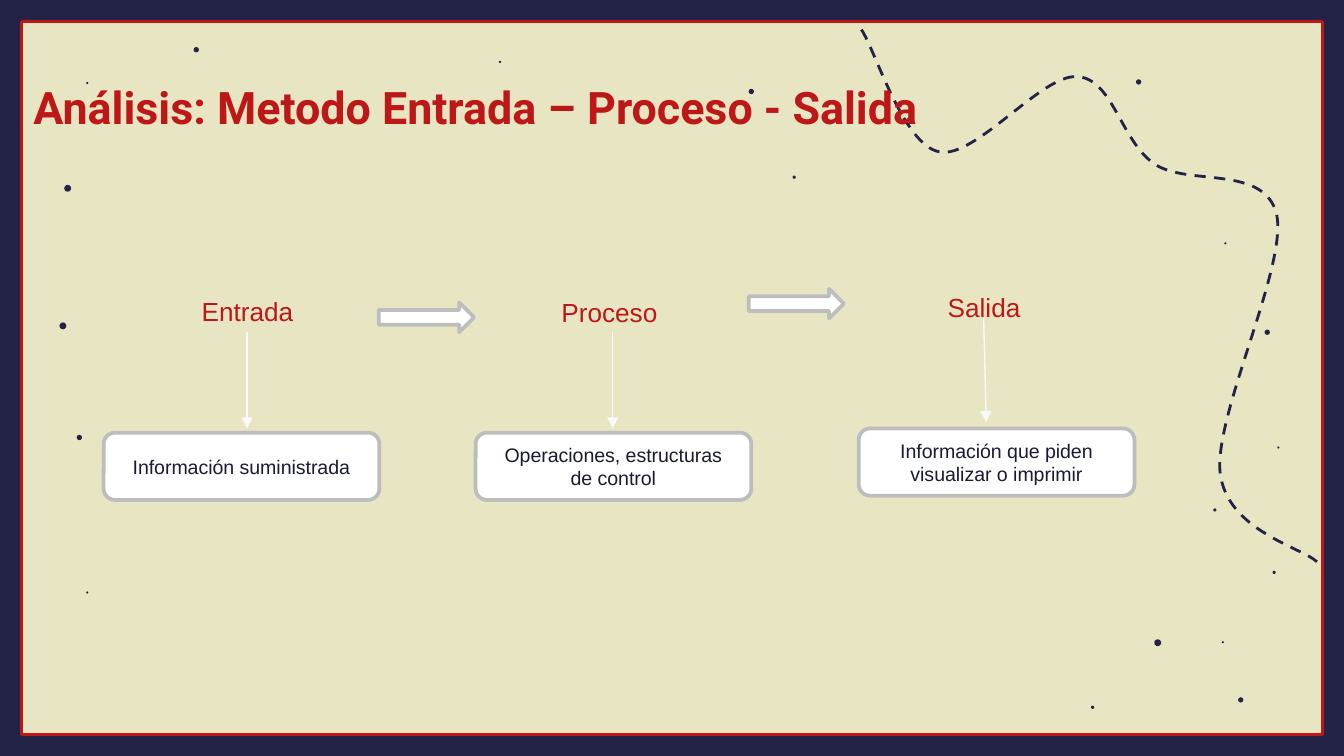
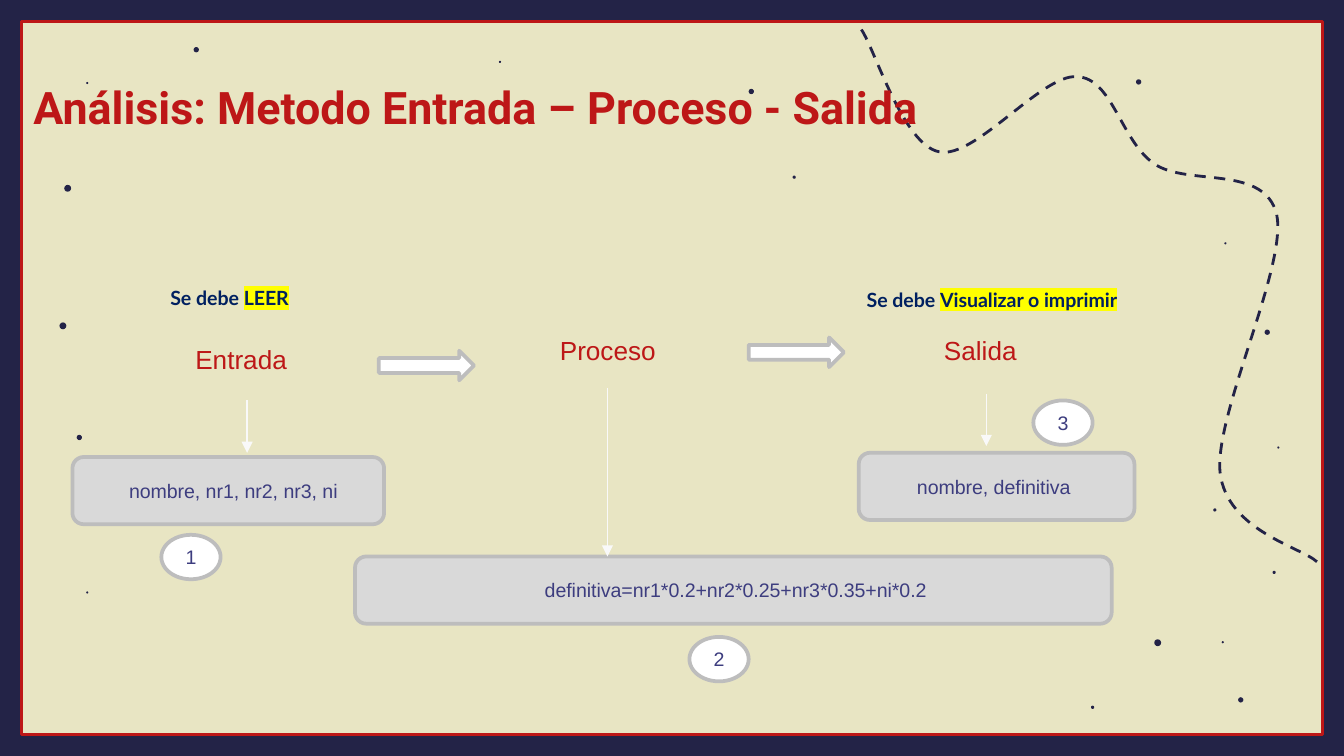
import lxml.etree
import pptx
import pptx.dml.color
import pptx.enum.dml
import pptx.enum.shapes
import pptx.enum.text
import pptx.oxml.ns
import pptx.util

Cm, Pt = pptx.util.Cm, pptx.util.Pt
RGBColor = pptx.dml.color.RGBColor
qn = pptx.oxml.ns.qn
SHAPE = pptx.enum.shapes.MSO_SHAPE
ANCHOR = pptx.enum.text.MSO_ANCHOR
ALIGN = pptx.enum.text.PP_ALIGN

SAND = RGBColor(0xE8, 0xE5, 0xC3)
NAVY = RGBColor(0x23, 0x23, 0x47)
RED = RGBColor(0xBD, 0x17, 0x17)
WHITE = RGBColor(0xFF, 0xFF, 0xFF)
SILVER = RGBColor(0xBD, 0xBD, 0xBD)
GREY = RGBColor(0xD9, 0xD9, 0xD9)
OFF_WHITE = RGBColor(0xF9, 0xF9, 0xF9)
INK = RGBColor(0x1A, 0x1A, 0x35)
INDIGO = RGBColor(0x3D, 0x3D, 0x7F)
NOTE_BLUE = RGBColor(0x00, 0x20, 0x60)
YELLOW = "FFFF00"

TITLE_FONT = dict(name="Roboto", size=Pt(24), bold=True)
HEADING_FONT = dict(name="Arial", size=Pt(14))
BODY_FONT = dict(name="Arial", size=Pt(10.5))
NOTE_FONT = dict(name="Lato", size=Pt(10.5), bold=True)

SLIDE_BOX = (0, 0, 25.4, 14.29)
TITLE_BOX = (-1.52, 0.66, 21.01, 2.11)
TITLE = "Análisis: Metodo Entrada – Proceso - Salida"
BAND = 0.41
INSET = 0.25
HEADING_SIZE = (5, 2.46)
CARD_WIDTH, CARD_HEIGHT = 5.21, 1.27
BADGE_SIZE = (1.12, 0.84)
NOTE_HEIGHT = 0.71
BLOCK_ARROW_SIZE = (1.8, 0.56)
BLOCK_ARROW_LEFTS = (7.16, 14.15)

# Start point, then three points for each Bézier segment
TRAIL = [
    (16.28, 0.56),
    (16.54, 0.94), (17.07, 2.74), (17.75, 2.87),
    (18.42, 3.02), (19.69, 1.4), (20.35, 1.45),
    (21.03, 1.47), (21.18, 2.67), (21.82, 3.1),
    (22.45, 3.53), (23.9, 3.1), (24.13, 4.06),
    (24.33, 5.05), (22.94, 7.85), (23.06, 8.94),
    (23.19, 10.03), (24.59, 10.34), (24.89, 10.62),
]

# Dot centres by diameter
DOTS = {
    0.13: [(21.88, 12.15), (1.28, 3.56), (1.19, 6.16)],
    0.1: [(14.2, 1.73), (23.45, 13.23), (23.95, 6.28), (1.5, 8.27),
          (21.52, 1.55), (3.71, 0.94)],
    0.06: [(22.96, 9.64), (15.01, 3.35), (24.08, 10.82), (20.65, 13.37)],
    0.04: [(23.11, 12.14), (23.16, 4.6), (9.45, 1.17), (1.65, 11.2),
           (24.16, 8.46), (1.65, 1.57)],
}

# Card, pointer, badge and note positions are relative to the stage's corner
OVERVIEW = dict(
    card_fill=WHITE, card_ink=INK, block_arrow_tops=(5.72, 5.46),
    stages=[
        dict(corner=(2.18, 4.65), heading="Entrada",
             card="Información suministrada", card_at=(-0.22, 3.53),
             pointer=(2.49, 1.62, 2.49, 3.45)),
        dict(corner=(9.02, 4.67), heading="Proceso",
             card="Operaciones, estructuras de control", card_at=(-0.03, 3.51),
             pointer=(2.56, 1.6, 2.56, 3.43)),
        dict(corner=(16.1, 4.57), heading="Salida",
             card="Información que piden visualizar o imprimir", card_at=(0.13, 3.53),
             pointer=(2.49, 1.45, 2.54, 3.41)),
    ])

GRADES_EXAMPLE = dict(
    card_fill=GREY, card_ink=INDIGO, block_arrow_tops=(6.63, 6.38),
    stages=[
        dict(corner=(2.06, 5.56), heading="Entrada",
             card="nombre, nr1, nr2, nr3, ni", card_at=(-0.69, 3.08),
             card_width=5.89, nudge=0.1, pointer=(2.61, 2.01, 2.61, 3),
             badge=("1", 0.99, 4.55), note=("LEER", 0.91, -0.28, 3.3)),
        dict(corner=(8.99, 5.38), heading="Proceso",
             card="definitiva=nr1*0.2+nr2*0.25+nr3*0.35+ni*0.2", card_at=(-2.28, 5.14),
             card_width=14.3, nudge=0.05, pointer=(2.49, 1.96, 2.49, 5.14),
             badge=("2", 4.04, 6.66)),
        dict(corner=(16.03, 5.38), heading="Salida",
             card="nombre, definitiva", card_at=(0.2, 3.18), nudge=-0.05,
             pointer=(2.61, 2.06, 2.61, 3.05), badge=("3", 3.5, 2.19),
             note=("Visualizar o imprimir", 0.1, -0.07, 6.71)),
    ])


def apply(target, values):
    for attribute, value in values.items():
        setattr(target, attribute, value)


def add_run(paragraph, words, font, color, highlight=None):
    run = paragraph.add_run()
    run.text = words
    run.font.color.rgb = color
    apply(run.font, font)
    if highlight:
        marker = lxml.etree.Element(qn("a:highlight"))
        lxml.etree.SubElement(marker, qn("a:srgbClr"), val=highlight)
        run.font.fill._xPr.find(qn("a:solidFill")).addnext(marker)


def paint(shape, fill=None, line=None, width=2):
    """Sets fill and outline; None means there is none."""
    shape.shadow.inherit = False
    if fill is None:
        shape.fill.background()
    else:
        shape.fill.solid()
        shape.fill.fore_color.rgb = fill
    if line is None:
        shape.line.fill.background()
    else:
        shape.line.color.rgb = line
        shape.line.width = Pt(width)


def add_figure(slide, kind, box, fill=None, line=None, width=2):
    shape = slide.shapes.add_shape(kind, *map(Cm, box))
    paint(shape, fill, line, width)
    return shape


def write_centred(shape, words, font, color, nudge=0):
    """Centres the words, moved right by nudge."""
    frame = shape.text_frame
    apply(frame, dict(word_wrap=True, vertical_anchor=ANCHOR.MIDDLE,
                      margin_left=Cm(INSET + nudge), margin_right=Cm(INSET - nudge)))
    frame.paragraphs[0].alignment = ALIGN.CENTER
    add_run(frame.paragraphs[0], words, font, color)


def add_trail(slide, left, top):
    """Draws the dashed curve through the TRAIL segments."""
    points = [(Cm(left + x), Cm(top + y)) for x, y in TRAIL]
    builder = slide.shapes.build_freeform(*points[0])
    builder.add_line_segments(points[1:], close=False)
    trail = builder.convert_to_shape()
    paint(trail, line=NAVY, width=1.5)
    trail.line.dash_style = pptx.enum.dml.MSO_LINE.DASH
    outline = trail._element.find(".//" + qn("a:path"))
    steps = outline.findall(qn("a:lnTo"))
    for start in range(0, len(steps), 3):
        curve = lxml.etree.SubElement(outline, qn("a:cubicBezTo"))
        for step in steps[start:start + 3]:
            curve.append(step[0])
            outline.remove(step)


def add_backdrop(slide, box):
    left, top, width, height = box
    slide.background.fill.solid()
    slide.background.fill.fore_color.rgb = SAND
    right, bottom = left + width - BAND, top + height - BAND
    for band in [(left, top, width, BAND), (left, bottom, width, BAND),
                 (left, top, BAND, height), (right, top, BAND, height)]:
        add_figure(slide, SHAPE.RECTANGLE, band, NAVY)
    add_figure(slide, SHAPE.RECTANGLE,
               (left + BAND, top + BAND, width - 2 * BAND, height - 2 * BAND),
               line=RED, width=1.5)
    add_trail(slide, left, top)
    for size, centres in DOTS.items():
        for x, y in centres:
            add_figure(slide, SHAPE.OVAL,
                       (left + x - size / 2, top + y - size / 2, size, size), NAVY)


def add_title(slide, box):
    frame = slide.shapes.add_textbox(*map(Cm, box)).text_frame
    sides = ("margin_left", "margin_top", "margin_right", "margin_bottom")
    apply(frame, dict.fromkeys(sides, Cm(INSET)))
    apply(frame, dict(word_wrap=True, vertical_anchor=ANCHOR.BOTTOM))
    frame.paragraphs[0].alignment = ALIGN.CENTER
    add_run(frame.paragraphs[0], TITLE, TITLE_FONT, RED)


def add_pointer(slide, ends):
    pointer = slide.shapes.add_connector(
        pptx.enum.shapes.MSO_CONNECTOR.STRAIGHT, *map(Cm, ends))
    pointer.line.color.rgb = OFF_WHITE
    pointer.line.width = Pt(0.75)
    properties = pointer._element.spPr
    lxml.etree.SubElement(properties.find(qn("a:ln")), qn("a:tailEnd"), type="triangle")
    lxml.etree.SubElement(properties, qn("a:effectLst"))


def add_note(slide, box, action):
    frame = slide.shapes.add_textbox(*map(Cm, box)).text_frame
    apply(frame, dict(word_wrap=True,
                      auto_size=pptx.enum.text.MSO_AUTO_SIZE.SHAPE_TO_FIT_TEXT))
    add_run(frame.paragraphs[0], "Se debe ", NOTE_FONT, NOTE_BLUE)
    add_run(frame.paragraphs[0], action, NOTE_FONT, NOTE_BLUE, YELLOW)


def add_stage(slide, box, stage, card_fill, card_ink):
    """Places heading, card and pointer, plus badge and note where the stage has them."""
    left, top = box[:2]
    heading = add_figure(slide, SHAPE.OVAL, box, SAND, SAND)
    write_centred(heading, stage["heading"], HEADING_FONT, RED)

    x, y = stage["card_at"]
    card_box = (left + x, top + y, stage.get("card_width", CARD_WIDTH), CARD_HEIGHT)
    card = add_figure(slide, SHAPE.ROUNDED_RECTANGLE, card_box, card_fill, SILVER)
    write_centred(card, stage["card"], BODY_FONT, card_ink, stage.get("nudge", 0))

    x1, y1, x2, y2 = stage["pointer"]
    add_pointer(slide, (left + x1, top + y1, left + x2, top + y2))
    if "note" in stage:
        action, x, y, width = stage["note"]
        add_note(slide, (left + x, top + y, width, NOTE_HEIGHT), action)
    if "badge" in stage:
        number, x, y = stage["badge"]
        badge = add_figure(slide, SHAPE.OVAL, (left + x, top + y, *BADGE_SIZE),
                           WHITE, SILVER)
        write_centred(badge, number, BODY_FONT, card_ink)


def add_flow_slide(deck, box, flow):
    slide = deck.slides.add_slide(deck.slide_layouts[6])
    left, top = box[:2]
    add_backdrop(slide, box)
    for stage in flow["stages"]:
        x, y = stage["corner"]
        add_stage(slide, (left + x, top + y, *HEADING_SIZE), stage,
                  flow["card_fill"], flow["card_ink"])
    for x, y in zip(BLOCK_ARROW_LEFTS, flow["block_arrow_tops"]):
        add_figure(slide, SHAPE.RIGHT_ARROW, (left + x, top + y, *BLOCK_ARROW_SIZE),
                   WHITE, SILVER)
    x, y, width, height = TITLE_BOX
    add_title(slide, (left + x, top + y, width, height))


def main():
    deck = pptx.Presentation()
    deck.slide_width, deck.slide_height = map(Cm, SLIDE_BOX[2:])
    for flow in (OVERVIEW, GRADES_EXAMPLE):
        add_flow_slide(deck, SLIDE_BOX, flow)
    deck.save("out.pptx")


if __name__ == "__main__":
    main()
